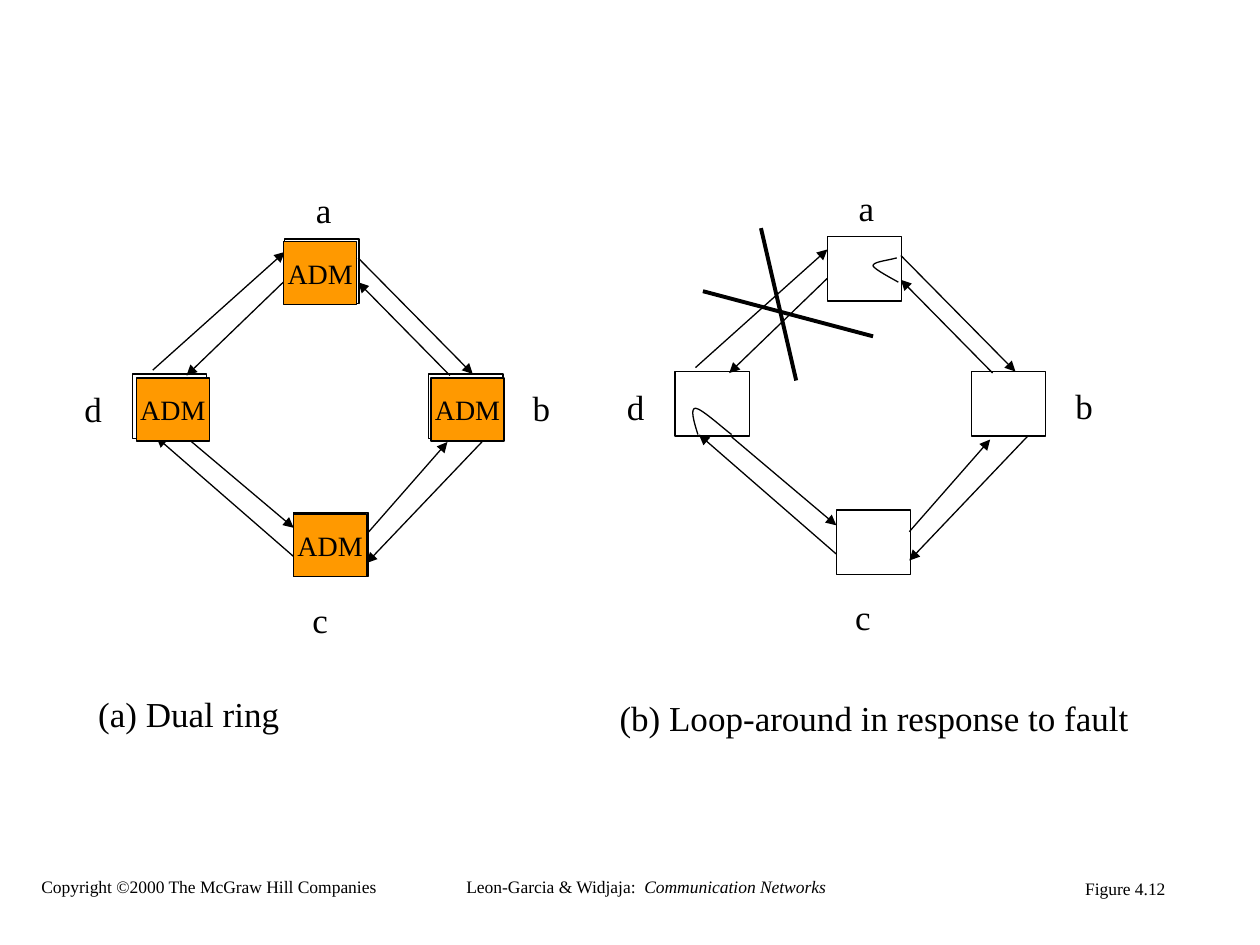
import pptx
import pptx.dml.color
import pptx.enum.shapes
import pptx.enum.text
import pptx.oxml
import pptx.oxml.ns
import pptx.util
from pptx.util import Cm

COLORS = {"ink": "000000", "multiplexer": "FF9900"}
FONT = "Times New Roman"
LABELS = {"a": (4.67, 0), "b": (9.04, 3.99), "c": (4.6, 8.26), "d": (0, 4.01)}
NODES = [(4.29, 1.14), (1.22, 3.86), (7.19, 3.86), (4.47, 6.65)]
MULTIPLEXERS = [(7.24, 3.94), (4.27, 1.19), (1.3, 3.94), (4.47, 6.68)]
LINKS = [
    ((4.29, 1.98), (2.31, 3.89)),
    ((2.36, 5.18), (4.47, 6.96)),
    ((5.94, 7.09), (7.57, 5.23)),
    ((7.62, 3.89), (5.77, 2.01)),
    ((1.63, 3.78), (4.29, 1.4)),
    ((5.77, 1.52), (8.08, 3.86)),
    ((8.33, 5.16), (5.94, 7.67)),
    ((4.47, 7.54), (1.7, 5.13)),
]
CROSS = [((1.78, 2.24), (5.21, 3.15)), ((2.95, 0.97), (3.66, 4.04))]
LOOPS = [
    [(5.69, 1.57), (5.46, 1.63), (5.21, 1.65), (5.21, 1.73),
     (5.23, 1.8), (5.64, 2.01), (5.72, 2.06)],
    [(1.68, 5.13), (1.6, 4.88), (1.52, 4.6), (1.63, 4.6),
     (1.75, 4.6), (2.24, 5.05), (2.36, 5.13)],
]


def rgb(name):
    """Return the named colour."""
    return pptx.dml.color.RGBColor.from_string(COLORS[name])


def element(tag, **attributes):
    """Create a drawing element."""
    created = pptx.oxml.parse_xml(f"<a:{tag} {pptx.oxml.ns.nsdecls('a')}/>")
    for key, value in attributes.items():
        created.set(key, value)
    return created


def ink_line(line, width=0.75):
    """Draw a line in ink at the given width."""
    line.color.rgb = rgb("ink")
    line.width = pptx.util.Pt(width)


def style(paragraph, size):
    """Set the font of a paragraph."""
    paragraph.font.name = FONT
    paragraph.font.size = pptx.util.Pt(size)
    paragraph.font.color.rgb = rgb("ink")


def add_text(slide, box, text, size=20, wrap=False):
    """Add a line of text in a box and return its paragraph."""
    frame = slide.shapes.add_textbox(*map(Cm, box)).text_frame
    frame.word_wrap = wrap
    paragraph = frame.paragraphs[0]
    if text:
        paragraph.add_run().text = text
    style(paragraph, size)
    return paragraph


def add_node(slide, box, fill=None, text=""):
    """Add a ring node, filled and named when asked."""
    node = slide.shapes.add_shape(
        pptx.enum.shapes.MSO_SHAPE.RECTANGLE, *map(Cm, box))
    node.shadow.inherit = False
    ink_line(node.line)
    if fill:
        node.fill.solid()
        node.fill.fore_color.rgb = rgb(fill)
    else:
        node.fill.background()
    if text:
        frame = node.text_frame
        frame.word_wrap = False
        frame.vertical_anchor = pptx.enum.text.MSO_ANCHOR.MIDDLE
        paragraph = frame.paragraphs[0]
        paragraph.text = text
        paragraph.alignment = pptx.enum.text.PP_ALIGN.CENTER
        style(paragraph, 16)


def add_line(slide, left, top, ends, width=0.75, arrow=False):
    """Add a straight line relative to a corner, with an optional arrowhead."""
    (x1, y1), (x2, y2) = ends
    line = slide.shapes.add_connector(
        pptx.enum.shapes.MSO_CONNECTOR.STRAIGHT,
        Cm(left + x1), Cm(top + y1), Cm(left + x2), Cm(top + y2))
    ink_line(line.line, width)
    properties = line.element.spPr
    if arrow:
        properties.find(pptx.oxml.ns.qn("a:ln")).append(
            element("tailEnd", type="triangle"))
    properties.append(element("effectLst"))


def add_loop(slide, left, top, points):
    """Add an open curve from a start point and triples of Bezier points."""
    start, *controls = [(Cm(left + x), Cm(top + y)) for x, y in points]
    builder = slide.shapes.build_freeform(*start)
    builder.add_line_segments(controls, close=False)
    loop = builder.convert_to_shape()
    loop.shadow.inherit = False
    loop.fill.background()
    ink_line(loop.line)
    outline = next(loop.element.iter(pptx.oxml.ns.qn("a:path")))
    segments = outline.findall(pptx.oxml.ns.qn("a:lnTo"))
    for first in range(0, len(segments), 3):
        curve = element("cubicBezTo")
        for segment in segments[first:first + 3]:
            curve.append(segment[0])
            outline.remove(segment)
        outline.append(curve)


def draw_ring(slide, left, top):
    """Draw the four labelled nodes and the links of both directions."""
    for label, (x, y) in LABELS.items():
        add_text(slide, (left + x, top + y, 0.86, 1.12), label, wrap=True)
    for x, y in NODES:
        add_node(slide, (left + x, top + y, 1.5, 1.3))
    for ends in LINKS:
        add_line(slide, left, top, ends, arrow=True)


def draw_fault(slide, left, top):
    """Cross out the broken link and loop the traffic around."""
    for ends in CROSS:
        add_line(slide, left, top, ends, width=2.25)
    for points in LOOPS:
        add_loop(slide, left, top, points)


def draw_multiplexers(slide, left, top):
    """Place a multiplexer on each node of a ring."""
    for x, y in MULTIPLEXERS:
        add_node(slide, (left + x, top + y, 1.47, 1.27), "multiplexer", "ADM")


def draw_footer(slide, left, top):
    """Write the copyright, book and figure lines."""
    copyright_line = add_text(
        slide, (left, top, 7.26, 0.69),
        "Copyright ©2000 The McGraw Hill Companies", 10)
    book = add_text(
        slide, (left + 8.56, top, 7.77, 0.69), "Leon-Garcia & Widjaja:  ", 10)
    title = book.add_run()
    title.text = "Communication Networks"
    title.font.italic = True
    figure = add_text(
        slide, (left + 21.04, top + 0.05, 2.13, 0.69), "Figure 4.12", 10)
    for paragraph in (copyright_line, book, figure):
        paragraph.alignment = pptx.enum.text.PP_ALIGN.CENTER


def main():
    """Build the slide and save it."""
    presentation = pptx.Presentation()
    presentation.slide_width = Cm(25.4)
    presentation.slide_height = Cm(19.05)
    slide = presentation.slides.add_slide(presentation.slide_layouts[6])
    dual_ring, faulty_ring = (1.45, 3.68), (12.39, 3.63)
    draw_ring(slide, *dual_ring)
    draw_multiplexers(slide, *dual_ring)
    draw_ring(slide, *faulty_ring)
    draw_fault(slide, *faulty_ring)
    add_text(slide, (1.73, 13.84, 4.17, 1.12), "(a) Dual ring")
    add_text(slide, (12.24, 13.92, 11.25, 1.12),
             "(b) Loop-around in response to fault", wrap=True)
    draw_footer(slide, 0.58, 17.53)
    presentation.save("out.pptx")


if __name__ == "__main__":
    main()
